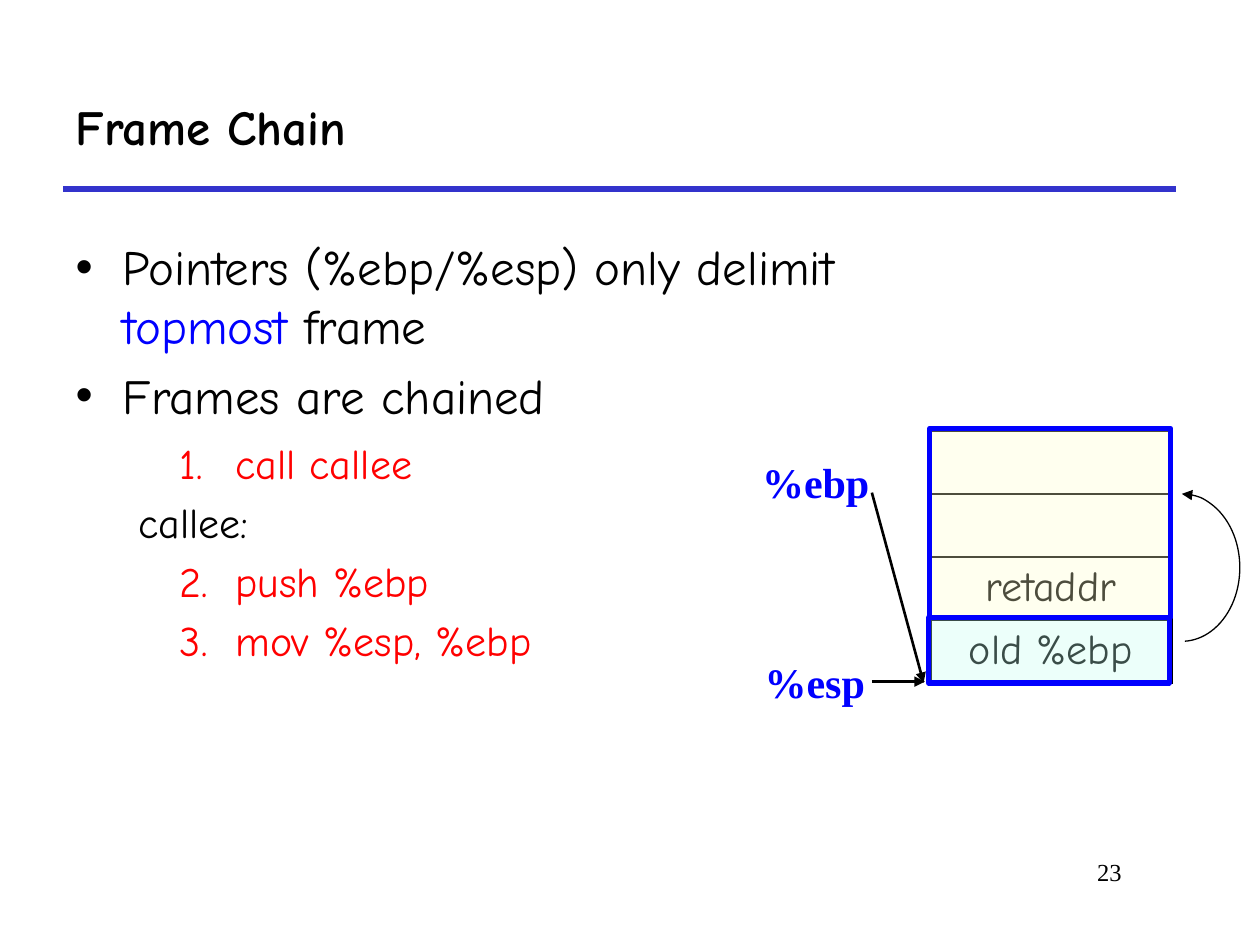
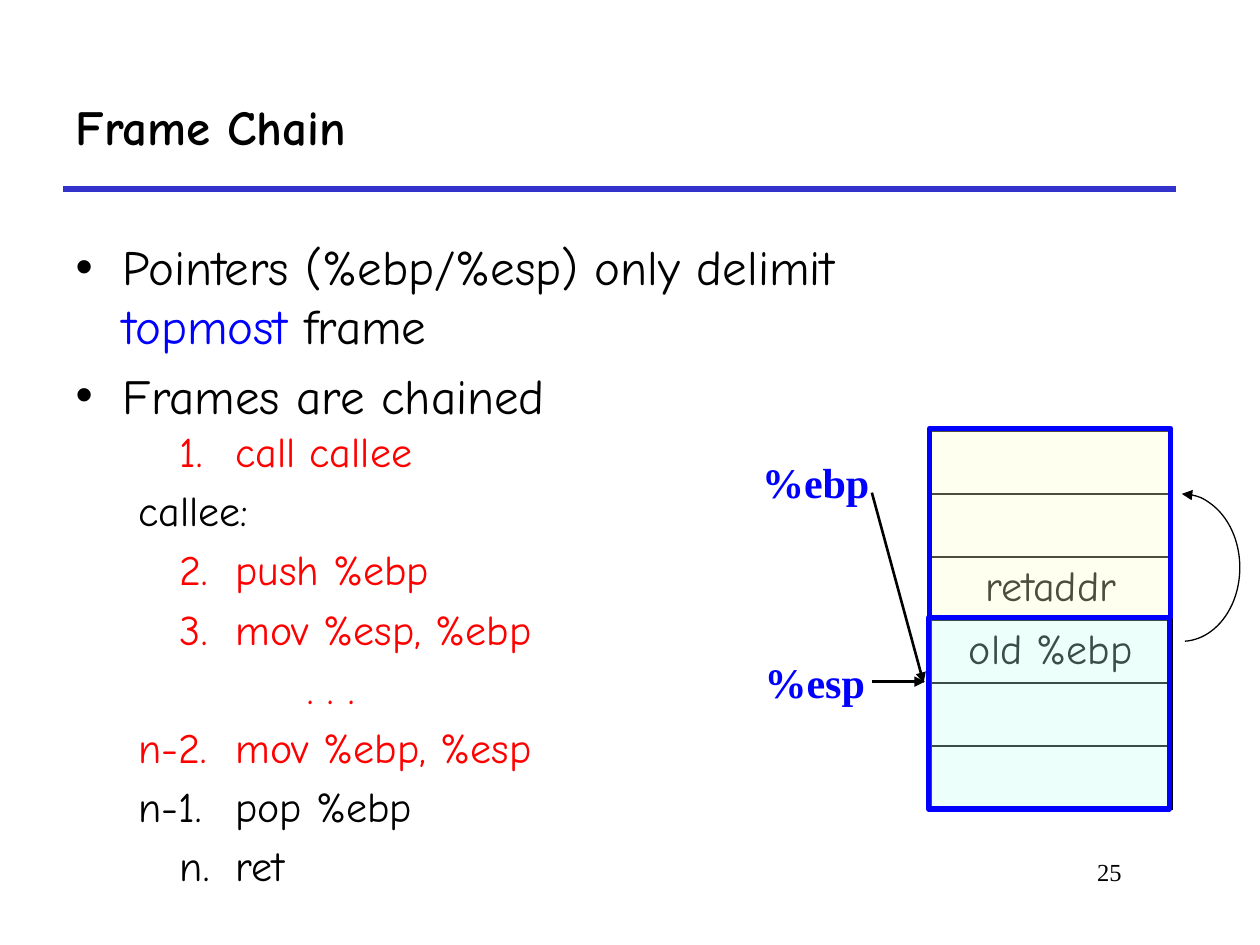
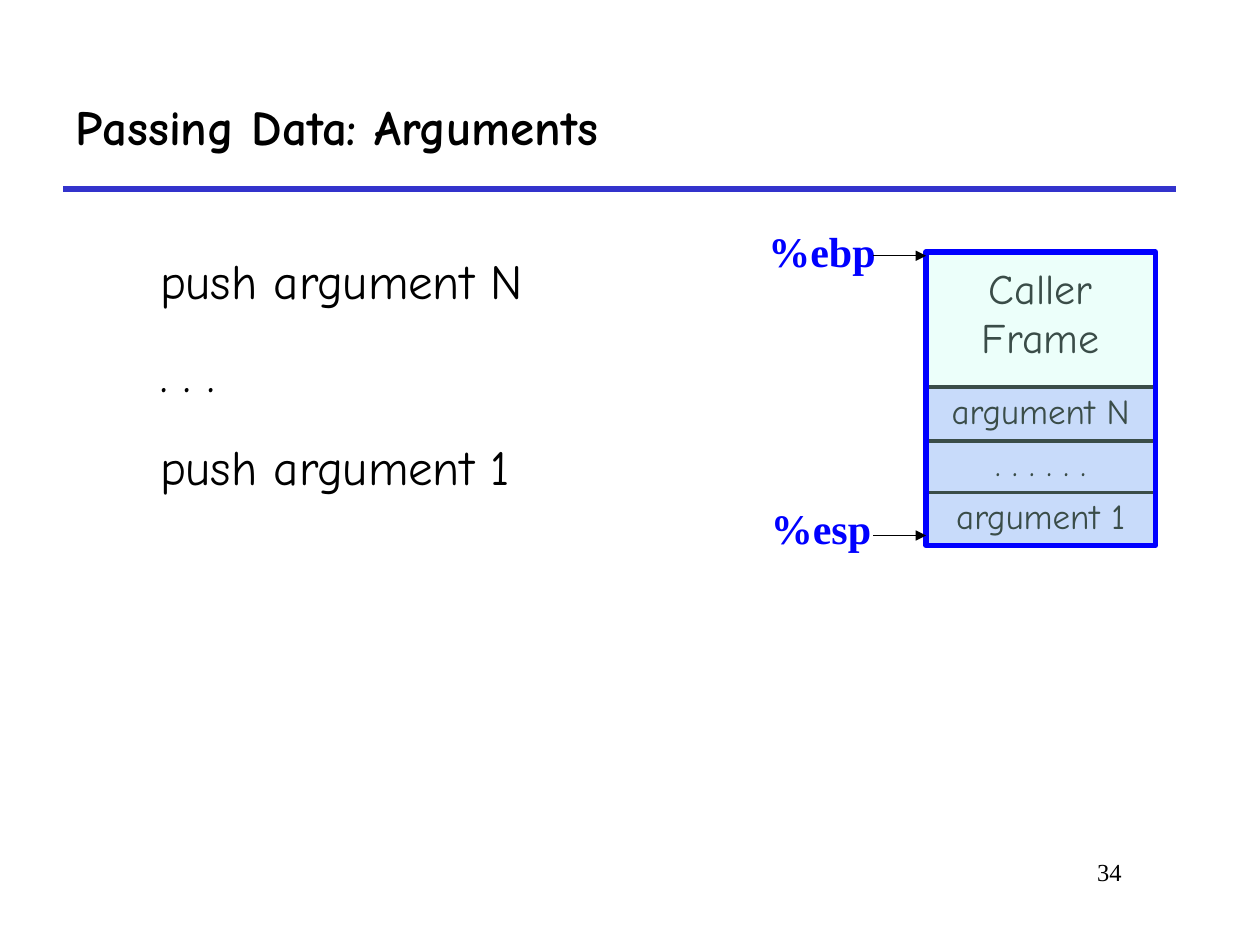
from lxml.etree import SubElement as Sub
from pptx import Presentation
from pptx.dml.color import RGBColor as RGB
from pptx.enum.shapes import MSO_CONNECTOR as LINK, MSO_SHAPE as KIND
from pptx.enum.text import MSO_ANCHOR as ANCHOR, MSO_AUTO_SIZE as AUTO, PP_ALIGN as ALIGN
from pptx.oxml.ns import qn
from pptx.util import Pt

PX = 9144  # 100 px to the inch
HAND, SERIF = "Comic Neue", "Times New Roman"
HEX = {"ink": "000000", "blue": "0000FF", "red": "FF0000", "rule": "3333CC",
       "white": "FFFFFF", "mint": "C2FFF0", "cream": "FFFFCC", "lilac": "CCCCFF"}


def style(par, size, color="ink", face=HAND, bold=False):
    for run in par.runs:
        font = run.font
        font.name, font.size, font.bold = face, Pt(size), bold
        font.color.rgb = RGB.from_string(HEX[color])


def draw(slide, ends, width, color="ink", arrow=True):
    line = slide.shapes.add_connector(LINK.STRAIGHT, *[v * PX for v in ends])
    line.line.width = Pt(width)
    line.line.color.rgb = RGB.from_string(HEX[color])
    if arrow:
        Sub(line.line._get_or_add_ln(), qn("a:tailEnd"), type="triangle")
    Sub(line._element.spPr, qn("a:effectLst"))


# Content shared by the two frame chain slides
chain = [[("Pointers (%ebp/%esp) only delimit ", "ink"), ("topmost ", "blue"), ("frame", "ink")],
         [("Frames are chained", "ink")]]
# Code lines: text, start, hanging text position, colour
call = [("1.\tcall callee", 83, 127, "red"), ("callee:", 50, 50, "ink"),
        ("2.\tpush %ebp", 83, 127, "red"), ("3.\tmov %esp, %ebp", 83, 127, "red")]
leave = [(". . .", 184, 184, "red"), ("n-2.\tmov %ebp, %esp", 50, 127, "red"),
         ("n-1.\tpop %ebp", 50, 127, "ink"), ("n.\tret", 83, 127, "ink")]
stack = ["", "", "retaddr", "old %ebp"]
tags = [("%ebp", 595, 357), ("%esp", 597, 516)]
arrows = [(692, 391, 733, 542), (692, 541, 734, 541)]

# Tables: left, top, width, row height, texts, size, fill, side and cross borders, top margin
pages = [
    dict(title="Frame Chain", num="23", body=chain, place=(50, 183, 663, 224),
         tables=[(738, 342, 192, 50, stack, 24, "white", 2.25, 1, 5)],
         boxes=[(737, 490, 191, 52, "mint"), (738, 340, 191, 150, "cream")],
         tags=tags, arrows=arrows, width=1.5, code=call, top=342, tall=244),
    dict(title="Frame Chain", num="25", body=chain, place=(50, 183, 663, 167),
         tables=[(738, 342, 192, 50, stack + ["", ""], 24, "white", 2.25, 1, 5)],
         boxes=[(737, 490, 191, 152, "mint"), (738, 340, 191, 150, "cream")],
         tags=tags, arrows=arrows, width=1.5, code=call + leave, top=333, tall=390),
    dict(title="Passing Data: Arguments", num="34", place=(117, 175, 850, 483),
         body=[[(text, "ink")] for text in ("push argument N", ". . .", "push argument 1")],
         tables=[(735, top, 182, 43, [text], 20, "lilac", 2.25, 2.25, 5) for text, top in
                 (("argument 1", 390), (". . . . . .", 348), ("argument N", 307))]
         + [(735, 200, 182, 233, ["Caller\vFrame"], 24, None, 2.25, 2.25, 12)],
         boxes=[(735, 200, 182, 233, "mint")],
         tags=[("%ebp", 600, 174), ("%esp", 602, 394)],
         arrows=[(693, y, 735, y) for y in (203, 425)], width=0.75, code=[]),
]

deck = Presentation()
deck.slide_width, deck.slide_height = 1000 * PX, 750 * PX

for page in pages:
    slide = deck.slides.add_slide(deck.slide_layouts[1])
    shapes = slide.shapes
    draw(slide, (50, 150, 933, 150), 3, "rule", arrow=False)

    # Title
    title = shapes.title
    title.left, title.top, title.width, title.height = [v * PX for v in (50, 50, 883, 100)]
    frame = title.text_frame
    frame.text = page["title"]
    frame.auto_size, frame.vertical_anchor = AUTO.NONE, ANCHOR.MIDDLE
    frame.paragraphs[0].alignment = ALIGN.LEFT
    style(frame.paragraphs[0], 28, bold=True)

    # Body list: bullets on the chain slides, plain open lines on the last
    body = slide.placeholders[1]
    body.left, body.top, body.width, body.height = [v * PX for v in page["place"]]
    frame = body.text_frame
    frame.auto_size = AUTO.NONE
    for i, parts in enumerate(page["body"]):
        par = frame.add_paragraph() if i else frame.paragraphs[0]
        par.space_before = Pt(6 if i else 0)
        if not page["code"]:
            par.line_spacing = 1.4
            prop = par._p.get_or_add_pPr()
            prop.set("marL", "0")
            prop.set("indent", "0")
            Sub(prop, qn("a:buNone"))
        for text, color in parts:
            par.add_run().text = text
        style(par, 28)
        for run, (text, color) in zip(par.runs, parts):
            run.font.color.rgb = RGB.from_string(HEX[color])

    # Stack cells
    for left, top, wide, high, texts, size, fill, side, cross, pad in page["tables"]:
        table = shapes.add_table(len(texts), 1, left * PX, top * PX, wide * PX,
                                 high * len(texts) * PX).table
        table.first_row = table.horz_banding = False
        for i, text in enumerate(texts):
            cell = table.cell(i, 0)
            cell.text_frame.text = text
            cell.margin_left = cell.margin_right = 10 * PX
            cell.margin_top, cell.margin_bottom = pad * PX, 5 * PX
            par = cell.text_frame.paragraphs[0]
            par.alignment = ALIGN.CENTER
            style(par, size)
            prop = cell._tc.get_or_add_tcPr()
            for edge, width in (("L", side), ("R", side), ("T", cross), ("B", cross)):
                line = Sub(prop, qn("a:ln" + edge), w=str(Pt(width)))
                Sub(Sub(line, qn("a:solidFill")), qn("a:srgbClr"), val=HEX["ink"])
            if fill:
                cell.fill.solid()
                cell.fill.fore_color.rgb = RGB.from_string(HEX[fill])
            else:
                cell.fill.background()

    # Tinted frames over the stack
    for *spot, color in page["boxes"]:
        box = shapes.add_shape(KIND.RECTANGLE, *[v * PX for v in spot])
        box.shadow.inherit = False
        box.fill.solid()
        box.fill.fore_color.rgb = RGB.from_string(HEX[color])
        Sub(box._element.spPr.find(".//" + qn("a:srgbClr")), qn("a:alpha"), val="30000")
        box.line.color.rgb = RGB.from_string(HEX["blue"])
        box.line.width = Pt(3)

    # Register names and their arrows
    for text, left, top in page["tags"]:
        frame = shapes.add_textbox(left * PX, top * PX, 106 * PX, 51 * PX).text_frame
        frame.text = text
        frame.word_wrap, frame.auto_size = False, AUTO.SHAPE_TO_FIT_TEXT
        style(frame.paragraphs[0], 24, "blue", SERIF, True)
    for ends in page["arrows"]:
        draw(slide, ends, page["width"])

    # Code steps and the link back to the caller's frame
    if page["code"]:
        spot = (50, page["top"], 500, page["tall"])
        frame = shapes.add_textbox(*[v * PX for v in spot]).text_frame
        frame.word_wrap = True
        for i, (text, start, hang, color) in enumerate(page["code"]):
            par = frame.add_paragraph() if i else frame.paragraphs[0]
            par.text = text
            par.space_before = Pt(5 if i else 0)
            prop = par._p.get_or_add_pPr()
            prop.set("marL", str(hang * PX))
            prop.set("indent", str((start - hang) * PX))
            style(par, 24, color)

        arc = shapes.add_shape(KIND.ARC, *[v * PX for v in (892, 392, 92, 117)])
        arc.shadow.inherit = False
        arc.adjustments[0], arc.adjustments[1] = 162, 52.61
        arc.fill.background()
        arc.line.color.rgb = RGB.from_string(HEX["ink"])
        arc.line.width = Pt(0.75)
        Sub(arc.line._get_or_add_ln(), qn("a:headEnd"), type="triangle")

    # Page number
    frame = shapes.add_textbox(*[v * PX for v in (758, 675, 142, 50)]).text_frame
    frame.word_wrap = True
    frame.text = page["num"]
    frame.paragraphs[0].alignment = ALIGN.RIGHT
    style(frame.paragraphs[0], 14, face=SERIF)

deck.save("out.pptx")
